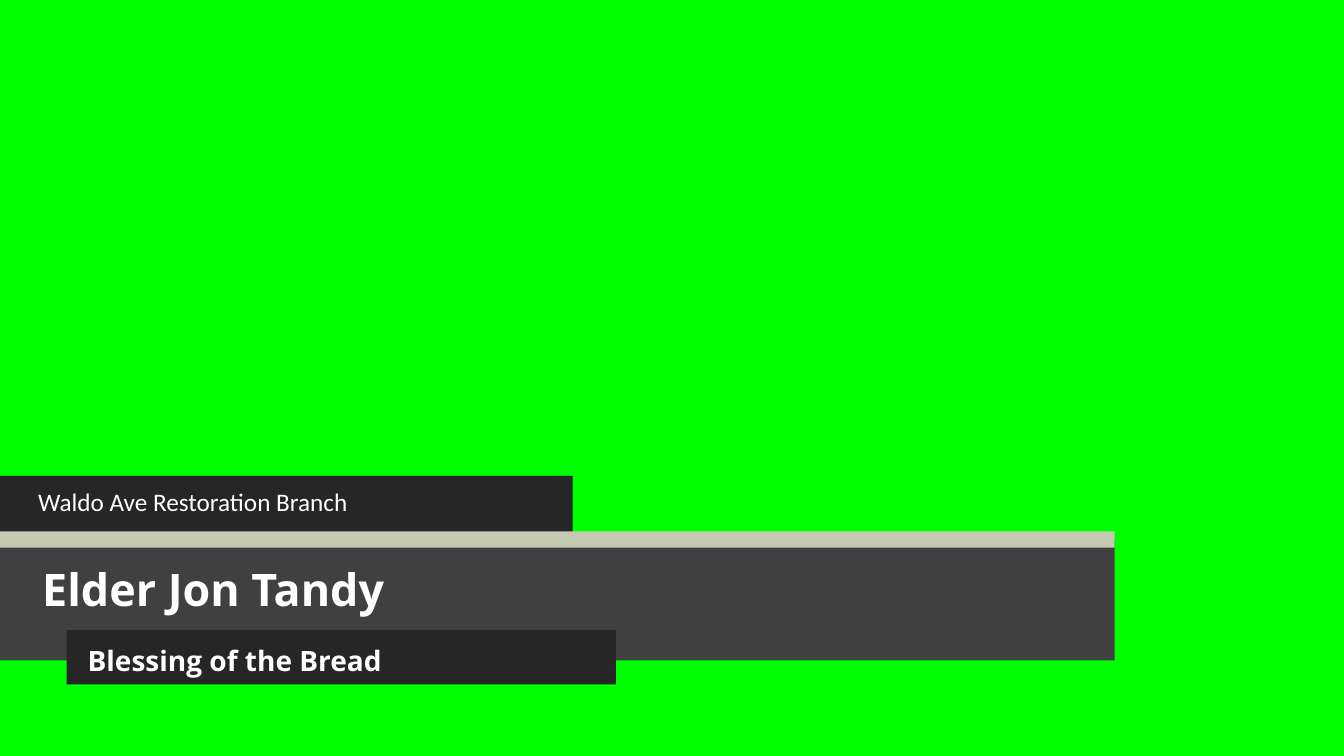
"""Build a lower-third caption slide on a green key background."""
import pptx
import pptx.dml.color
import pptx.enum.shapes
import pptx.enum.text
import pptx.util
from pptx.util import Cm

GREEN = pptx.dml.color.RGBColor(0x00, 0xFF, 0x00)
GREY = pptx.dml.color.RGBColor(0x40, 0x40, 0x40)
CHARCOAL = pptx.dml.color.RGBColor(0x26, 0x26, 0x26)
SAGE = pptx.dml.color.RGBColor(0xC7, 0xCA, 0xB2)
WHITE = pptx.dml.color.RGBColor(0xFF, 0xFF, 0xFF)


def add_bar(page, left, top, width, height, color):
    """Draw a plain filled bar, with lengths in centimetres."""
    bar = page.shapes.add_shape(
        pptx.enum.shapes.MSO_SHAPE.RECTANGLE, Cm(left), Cm(top), Cm(width), Cm(height)
    )
    bar.shadow.inherit = False
    bar.fill.solid()
    bar.fill.fore_color.rgb = color
    bar.line.fill.background()


def write_text(box, text, size, font="Open Sans", bold=True):
    """Put one line of left-aligned white text in a box."""
    frame = box.text_frame
    frame.word_wrap = True
    frame.auto_size = pptx.enum.text.MSO_AUTO_SIZE.SHAPE_TO_FIT_TEXT
    frame.vertical_anchor = pptx.enum.text.MSO_ANCHOR.TOP
    para = frame.paragraphs[0]
    para.alignment = pptx.enum.text.PP_ALIGN.LEFT
    span = para.add_run()
    span.text = text
    span.font.name = font
    span.font.size = pptx.util.Pt(size)
    span.font.bold = bold
    span.font.color.rgb = WHITE


def place_title(page, left, top, width, height):
    """Move the title placeholder into position, in front of the bars."""
    title = page.shapes.title
    title.left, title.top = Cm(left), Cm(top)
    title.width, title.height = Cm(width), Cm(height)
    title.element.getparent().append(title.element)
    return title


def main():
    """Build and save the deck."""
    deck = pptx.Presentation()
    deck.slide_width, deck.slide_height = Cm(33.87), Cm(19.05)
    page = deck.slides.add_slide(deck.slide_layouts.get_by_name("Title Only"))
    page.background.fill.solid()
    page.background.fill.fore_color.rgb = GREEN

    add_bar(page, 0, 13.59, 28.09, 3.05, GREY)
    add_bar(page, 0, 11.99, 14.43, 1.63, CHARCOAL)
    add_bar(page, 0, 13.39, 28.09, 0.41, SAGE)
    branch = page.shapes.add_textbox(Cm(0.71), Cm(12.14), Cm(12.8), Cm(1.02))
    write_text(branch, "Waldo Ave Restoration Branch", 18, font="Calibri", bold=False)

    speaker = place_title(page, 0.81, 14.02, 22.94, 1.63)
    write_text(speaker, "Elder Jon Tandy", 32)

    add_bar(page, 1.68, 15.88, 13.84, 1.37, CHARCOAL)
    role = page.shapes.add_textbox(Cm(1.96), Cm(16.08), Cm(13.84), Cm(1.12))
    write_text(role, "Blessing of the Bread", 20)

    deck.save("out.pptx")


if __name__ == "__main__":
    main()
